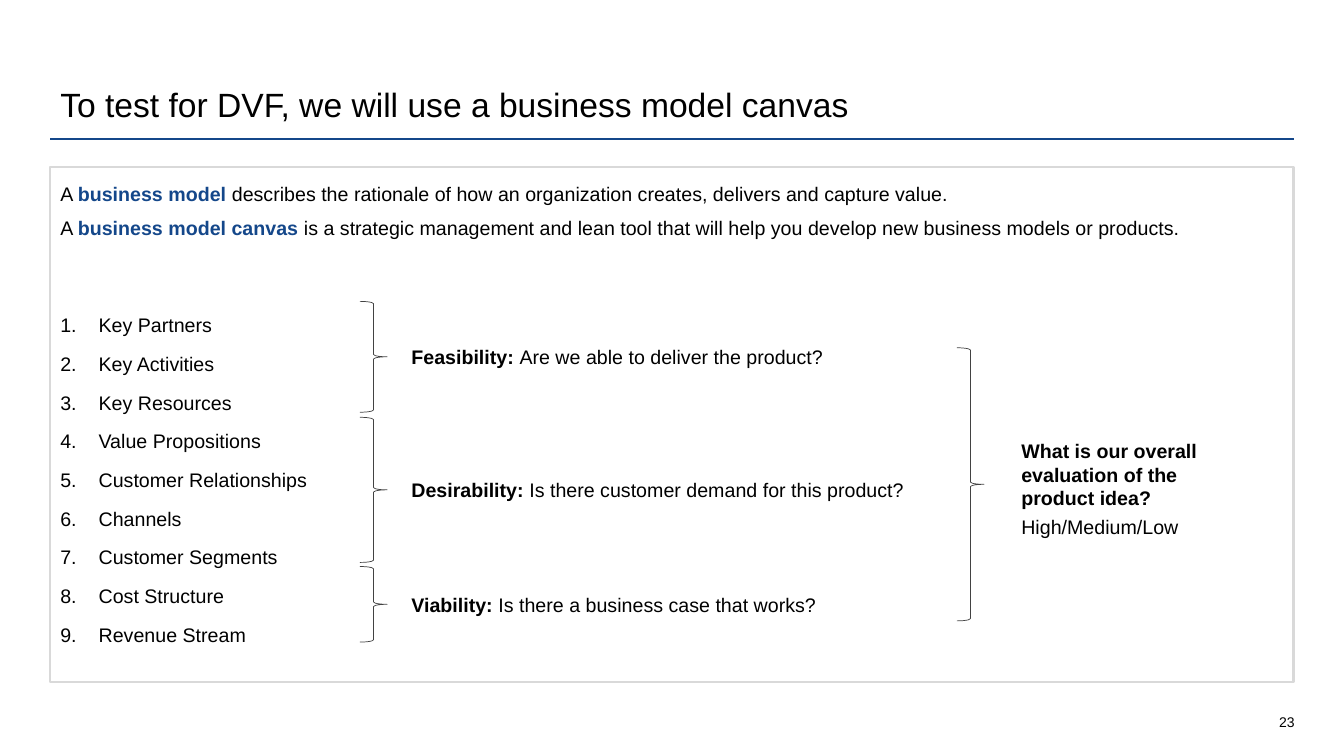
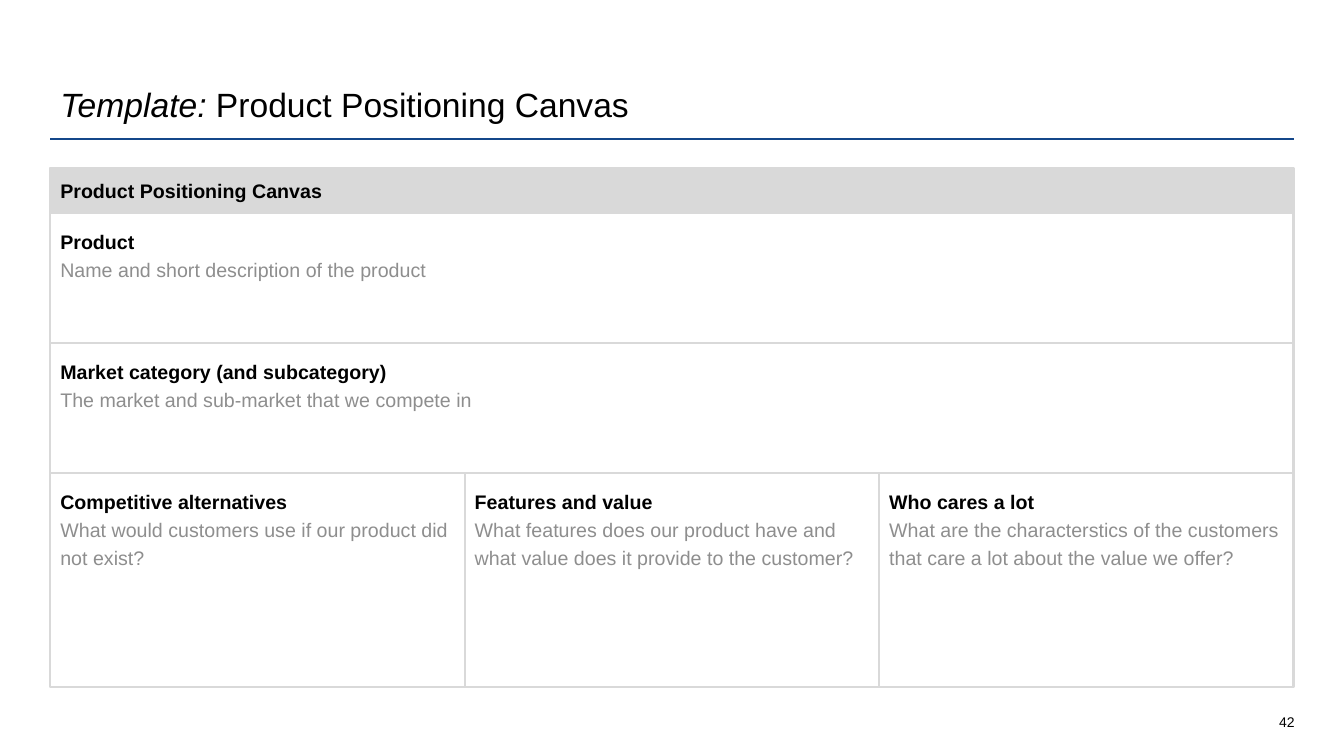
from lxml import etree
from pptx import Presentation
from pptx.dml.color import RGBColor
from pptx.enum.shapes import MSO_CONNECTOR as Connector, MSO_SHAPE as Preset
from pptx.enum.text import MSO_ANCHOR as Anchor, PP_ALIGN as Align
from pptx.oxml.ns import qn
from pptx.util import Inches, Pt

# Shared style
BLACK = RGBColor(0x00, 0x00, 0x00)
WHITE = RGBColor(0xFF, 0xFF, 0xFF)
BLUE = RGBColor(0x14, 0x47, 0x8A)
BORDER = RGBColor(0xD9, 0xD9, 0xD9)
BRACE = RGBColor(0x42, 0x42, 0x42)
HINT = RGBColor(0x8E, 0x8E, 0x8E)
FONT = "Arial"
LEFT, WIDTH = 0.5, 12.33
PANEL_INSETS = (0.1, 0.12, 0.1, 0.12)
NO_INSETS = (0, 0, 0, 0)
BOLD = {"bold": True}
ACCENT = {"bold": True, "color": BLUE}

# Content: a paragraph is a list of (text, span format)
MODEL_TITLE = [("To test for DVF, we will use a business model canvas", {})]
DEFINITIONS = [
    [("A ", {}), ("business model ", ACCENT),
     ("describes the rationale of how an organization creates, delivers and capture value.", {})],
    [("A ", {}), ("business model canvas ", ACCENT),
     ("is a strategic management and lean tool that will help you develop "
      "new business models or products.", {})],
]
BLOCKS = [
    "Key Partners", "Key Activities", "Key Resources", "Value Propositions",
    "Customer Relationships", "Channels", "Customer Segments",
    "Cost Structure", "Revenue Stream",
]
# Brace top, brace height, test, question
TESTS = [
    (2.99, 1.1, "Feasibility: ", "Are we able to deliver the product?"),
    (4.14, 1.44, "Desirability: ", "Is there customer demand for this product?"),
    (5.62, 0.75, "Viability: ", "Is there a business case that works?"),
]
EVALUATION = [
    [("What is our overall evaluation of the product idea?", BOLD)],
    [("High/Medium/Low", {})],
]

CANVAS_NAME = "Product Positioning Canvas"
CANVAS_TITLE = [("Template: ", {"italic": True}), (CANVAS_NAME, {})]
# Row height, then the (heading, hint) cells that share the row
CANVAS_ROWS = [
    (1.29, [("Product", "Name and short description of the product")]),
    (1.29, [("Market category (and subcategory)",
             "The market and sub-market that we compete in")]),
    (2.13, [
        ("Competitive alternatives",
         "What would customers use if our product did not exist?"),
        ("Features and value",
         "What features does our product have and what value does it provide to the customer?"),
        ("Who cares a lot",
         "What are the characterstics of the customers that care a lot about the value we offer?"),
    ]),
]


def write_text(shape, paragraphs, size=14, anchor=Anchor.TOP, align=Align.LEFT,
               insets=NO_INSETS, before=0, after=0, line_spacing=None):
    frame = shape.text_frame
    frame.word_wrap = True
    frame.vertical_anchor = anchor
    (frame.margin_left, frame.margin_top,
     frame.margin_right, frame.margin_bottom) = map(Inches, insets)
    for index, spans in enumerate(paragraphs):
        para = frame.add_paragraph() if index else frame.paragraphs[0]
        para.alignment = align
        para.space_before = Pt(before if index else 0)
        para.space_after = Pt(after)
        if line_spacing:
            para.line_spacing = line_spacing
        for text, look in spans:
            span = para.add_run()
            span.text = text
            span.font.name = FONT
            span.font.size = Pt(size)
            span.font.bold = look.get("bold", False)
            span.font.italic = look.get("italic", False)
            span.font.color.rgb = look.get("color", BLACK)
    return frame


def add_text(page, left, top, width, height, paragraphs, **text_format):
    box = page.shapes.add_textbox(*map(Inches, (left, top, width, height)))
    return write_text(box, paragraphs, **text_format)


def add_panel(page, left, top, width, height, paragraphs, fill=WHITE, **text_format):
    box = page.shapes.add_shape(
        Preset.RECTANGLE, *map(Inches, (left, top, width, height)))
    box.shadow.inherit = False
    box.fill.solid()
    box.fill.fore_color.rgb = fill
    box.line.color.rgb = BORDER
    box.line.width = Pt(1.5)
    return write_text(box, paragraphs, **text_format)


def add_brace(page, left, top, height):
    brace = page.shapes.add_shape(
        Preset.RIGHT_BRACE, *map(Inches, (left, top, 0.27, height)))
    brace.shadow.inherit = False
    brace.fill.background()
    brace.line.color.rgb = BRACE
    brace.line.width = Pt(0.5)


def number_paragraph(para):
    props = para._p.get_or_add_pPr()
    props.set("marL", str(Inches(0.38)))
    props.set("indent", str(-Inches(0.38)))
    etree.SubElement(props, qn("a:buAutoNum"), type="arabicPeriod")


def add_page(deck, title, number):
    page = deck.slides.add_slide(deck.slide_layouts[6])
    rule = page.shapes.add_connector(
        Connector.STRAIGHT, *map(Inches, (LEFT, 1.38, LEFT + WIDTH, 1.38)))
    rule.line.color.rgb = BLUE
    rule.line.width = Pt(1.5)
    etree.SubElement(rule._element.spPr, qn("a:effectLst"))
    add_text(page, LEFT, 0.4, WIDTH, 0.89, [title], size=24, anchor=Anchor.BOTTOM,
             insets=(0.1, 0.05, 0.1, 0.05), line_spacing=0.9)
    add_text(page, 12.2, 6.92, 0.64, 0.33, [[(str(number), {})]], size=10,
             anchor=Anchor.BOTTOM, align=Align.RIGHT)
    return page


def build_model_page(deck):
    page = add_page(deck, MODEL_TITLE, 23)

    # Definitions and the numbered building blocks
    blocks = [[(name, {})] for name in BLOCKS]
    frame = add_panel(page, LEFT, 1.66, WIDTH, 5.11, DEFINITIONS + blocks,
                      insets=(0.1, 0.14, 0.1, 0.12), before=2, after=6)
    items = frame.paragraphs[len(DEFINITIONS):]
    for para in items:
        para.space_before = Pt(4.8)
        number_paragraph(para)
    items[0].space_before = Pt(46.5)

    # Each test is centred on its brace
    for top, height, test, question in TESTS:
        add_brace(page, 3.57, top, height)
        add_text(page, 4.08, top + height / 2 - 0.14, 5.28, 0.28,
                 [[(test, BOLD), (question, {})]], anchor=Anchor.MIDDLE)

    # Overall evaluation
    add_brace(page, 9.49, 3.45, 2.71)
    add_text(page, 10.13, 4.42, 2.2, 0.86, EVALUATION,
             anchor=Anchor.MIDDLE, before=2, after=2)


def build_canvas_page(deck):
    page = add_page(deck, CANVAS_TITLE, 42)
    header_top, header_height = 1.67, 0.44

    # Rows split into equal cells
    top = header_top + header_height
    for height, cells in CANVAS_ROWS:
        width = WIDTH / len(cells)
        for column, (heading, hint) in enumerate(cells):
            add_panel(page, LEFT + column * width, top, width, height,
                      [[(heading, BOLD)], [(hint, {"color": HINT})]],
                      insets=PANEL_INSETS, line_spacing=1.2)
        top += height

    # Header band
    add_panel(page, LEFT, header_top, WIDTH, header_height, [[(CANVAS_NAME, BOLD)]],
              fill=BORDER, anchor=Anchor.MIDDLE, insets=(0.1, 0.05, 0.1, 0.05))


def main():
    deck = Presentation()
    deck.slide_width = Inches(13.33)
    deck.slide_height = Inches(7.5)
    build_model_page(deck)
    build_canvas_page(deck)
    deck.save("out.pptx")


if __name__ == "__main__":
    main()
